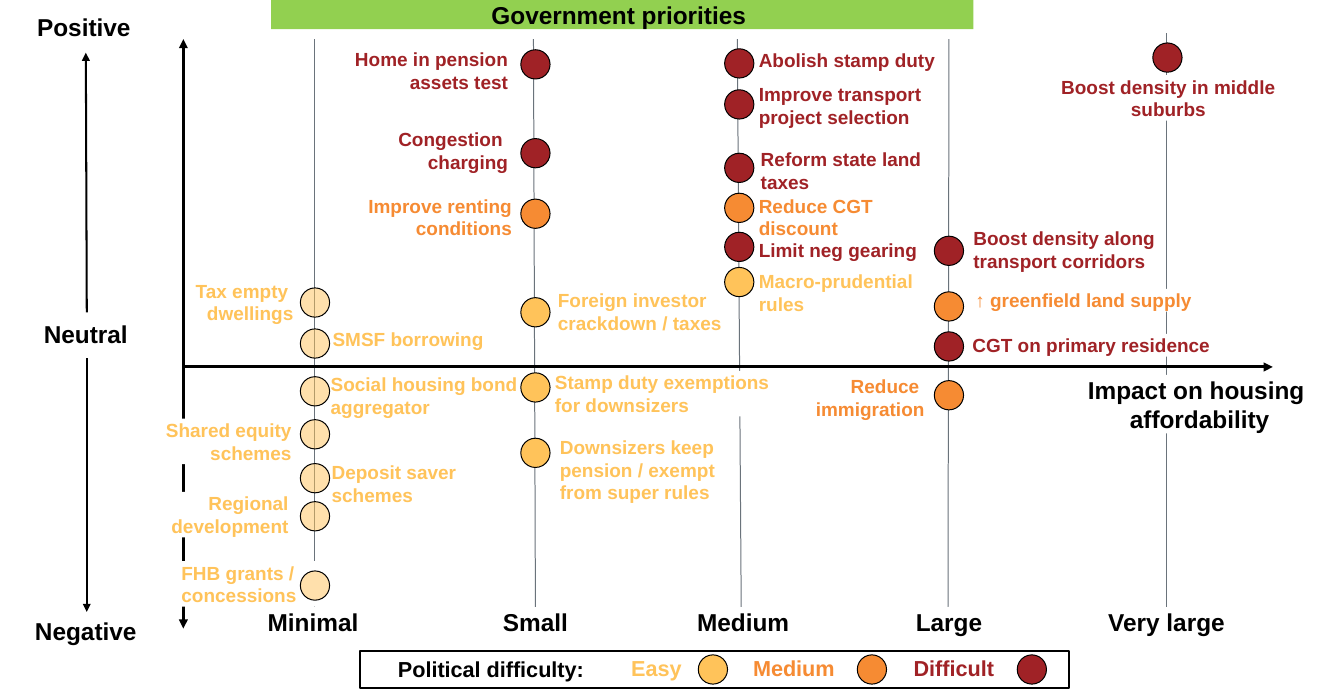
from collections import namedtuple

from lxml import etree
from pptx import Presentation
from pptx.dml.color import RGBColor
from pptx.enum.shapes import MSO_CONNECTOR as Connector, MSO_SHAPE as Shape
from pptx.enum.text import MSO_ANCHOR as Anchor, MSO_AUTO_SIZE as AutoSize, PP_ALIGN as Align
from pptx.oxml.ns import qn
from pptx.util import Inches, Pt

BLACK = RGBColor(0x00, 0x00, 0x00)
WHITE = RGBColor(0xFF, 0xFF, 0xFF)
GREY = RGBColor(0x6A, 0x73, 0x7B)
GREEN = RGBColor(0x92, 0xD0, 0x50)
YELLOW = RGBColor(0xFF, 0xC3, 0x5A)
ORANGE = RGBColor(0xF6, 0x8B, 0x33)
RED = RGBColor(0xA0, 0x22, 0x26)

FONT = "Arial"
DOT = 0.3
LEFT, CENTER, RIGHT = Align.LEFT, Align.CENTER, Align.RIGHT

# Impact columns: name, dot left, label left, line bottom (x, y), line top (x, y)
COLUMNS = [
    ("Minimal", 3.08, 1.94, (3.22, 6.31), (3.22, 0.4)),
    ("Small", 5.34, 4.22, (5.49, 6.27), (5.47, 0.4)),
    ("Medium", 7.43, 6.35, (7.6, 6.27), (7.56, 0.4)),
    ("Large", 9.58, 8.46, (9.72, 6.27), (9.73, 0.4)),
    ("Very large", 11.82, 10.69, (11.96, 6.22), (11.96, 0.34)),
]

# Each label has a white backing unless masked is False
Policy = namedtuple("Policy", "color dot_top text left top width align masked",
                    defaults=(LEFT, True))
POLICIES = {
    "Minimal": [
        Policy(YELLOW, 2.95, "Tax empty \ndwellings", 1.94, 2.86, 1.07, RIGHT),
        Policy(YELLOW, 3.37, "SMSF borrowing", 3.41, 3.36, 2.38, LEFT, False),
        Policy(YELLOW, 3.86, "Social housing bond aggregator", 3.39, 3.82, 2.15, LEFT, False),
        Policy(YELLOW, 4.3, "Shared equity\nschemes", 1.59, 4.29, 1.4, RIGHT),
        Policy(YELLOW, 4.75, "Deposit saver schemes", 3.4, 4.72, 1.81),
        Policy(YELLOW, 5.14, "Regional\ndevelopment", 1.2, 5.04, 1.76, RIGHT),
        Policy(YELLOW, 5.85, "FHB grants / \nconcessions", 1.86, 5.75, 1.38),
    ],
    "Small": [
        Policy(RED, 0.51, "Home in pension assets test", 3.36, 0.49, 1.85, RIGHT),
        Policy(RED, 1.42, "Congestion \ncharging", 3.56, 1.31, 1.65, RIGHT),
        Policy(ORANGE, 2.04, "Improve renting\nconditions", 3.45, 1.99, 1.8, RIGHT),
        Policy(YELLOW, 3.05, "Foreign investor\ncrackdown / taxes", 5.72, 2.96, 1.78),
        Policy(YELLOW, 3.82, "Stamp duty exemptions for downsizers", 5.69, 3.8, 2.3),
        Policy(YELLOW, 4.49, "Downsizers keep pension / exempt from super rules",
               5.74, 4.46, 1.77),
    ],
    "Medium": [
        Policy(RED, 0.5, "Abolish stamp duty", 7.78, 0.5, 1.93),
        Policy(RED, 0.92, "Improve transport project selection", 7.78, 0.85, 1.77),
        Policy(RED, 1.57, "Reform state land taxes", 7.8, 1.51, 1.77),
        Policy(ORANGE, 1.98, "Reduce CGT discount", 7.78, 1.99, 1.79),
        Policy(RED, 2.38, "Limit neg gearing", 7.78, 2.44, 1.63, LEFT, False),
        Policy(YELLOW, 2.74, "Macro-prudential\nrules", 7.78, 2.76, 1.65, LEFT, False),
    ],
    "Large": [
        Policy(RED, 2.42, "Boost density along transport corridors", 9.98, 2.32, 1.97),
        Policy(ORANGE, 2.99, "↑ greenfield land supply", 10, 2.96, 3.63),
        Policy(RED, 3.4, "CGT on primary residence", 9.97, 3.42, 3.47),
        Policy(ORANGE, 3.9, "Reduce \nimmigration", 7.84, 3.84, 1.64, RIGHT, False),
    ],
    "Very large": [
        Policy(RED, 0.44, "Boost density in middle suburbs", 10.75, 0.77, 2.46, CENTER),
    ],
}

# Legend: difficulty, colour, text left, text width, dot left
LEGEND = [
    ("Easy", YELLOW, 6.31, 0.84, 7.16),
    ("Medium", ORANGE, 7.41, 1.46, 8.79),
    ("Difficult", RED, 9.14, 1.28, 10.43),
]


def add_line(page, start, end, color, width, head=False, tail=False):
    line = page.shapes.add_connector(Connector.STRAIGHT, *map(Inches, start + end))
    line.line.color.rgb = color
    line.line.width = Pt(width)
    outline = line.line._get_or_add_ln()
    for name, wanted in (("a:headEnd", head), ("a:tailEnd", tail)):
        if wanted:
            etree.SubElement(outline, qn(name), type="triangle")
    etree.SubElement(line._element.spPr, qn("a:effectLst"))


def add_box(page, kind, left, top, width, height, fill=None, border=None, weight=0.75):
    box = page.shapes.add_shape(kind, *map(Inches, (left, top, width, height)))
    box.shadow.inherit = False
    if fill is None:
        box.fill.background()
    else:
        box.fill.solid()
        box.fill.fore_color.rgb = fill
    if border is None:
        box.line.fill.background()
    else:
        box.line.color.rgb = border
        box.line.width = Pt(weight)
    return box


def add_dot(page, left, top, color, faded=False):
    dot = add_box(page, Shape.OVAL, left, top, DOT, DOT, color, BLACK)
    if faded:
        tint = dot._element.spPr.find(qn("a:solidFill"))[0]
        etree.SubElement(tint, qn("a:alpha"), val="50000")


def add_label(page, text, left, top, width, size=18, color=BLACK, align=CENTER, fill=None,
              rows=1):
    height = rows * size / 60
    if fill is None:
        box = page.shapes.add_textbox(*map(Inches, (left, top, width, height)))
    else:
        box = add_box(page, Shape.RECTANGLE, left, top, width, height, fill)
    frame = box.text_frame
    frame.word_wrap = True
    frame.auto_size = AutoSize.SHAPE_TO_FIT_TEXT
    frame.vertical_anchor = Anchor.TOP
    frame.margin_left = frame.margin_right = frame.margin_top = frame.margin_bottom = 0
    for index, line in enumerate(text.split("\n")):
        para = frame.add_paragraph() if index else frame.paragraphs[0]
        para.alignment = align
        span = para.add_run()
        span.text = line
        span.font.name = FONT
        span.font.size = Pt(size)
        span.font.bold = True
        span.font.color.rgb = color


def add_policy_label(page, policy):
    one_line = ("Abolish stamp duty", "SMSF borrowing", "Limit neg gearing",
                "↑ greenfield land supply", "CGT on primary residence")
    rows = 1 if policy.text in one_line else 3 if "exempt from" in policy.text else 2
    add_label(page, policy.text, policy.left, policy.top, policy.width, 14, policy.color,
              policy.align, WHITE if policy.masked else None, rows)


def add_legend(page):
    add_box(page, Shape.RECTANGLE, 3.69, 6.67, 7.27, 0.38, border=BLACK, weight=1.5)
    add_label(page, "Political difficulty:", 3.47, 6.72, 3.13, 16)
    for name, color, left, width, dot_left in LEGEND:
        add_label(page, name, left, 6.71, width, 16, color)
        add_dot(page, dot_left, 6.71, color)


def main():
    deck = Presentation()
    deck.slide_width, deck.slide_height = Inches(13.78), Inches(7.09)
    page = deck.slides.add_slide(deck.slide_layouts[6])

    # Column lines and axes
    for _, _, _, bottom, top in COLUMNS:
        add_line(page, bottom, top, GREY, 0.75)
    add_line(page, (1.88, 6.44), (1.88, 0.4), BLACK, 2.25, head=True, tail=True)
    add_line(page, (1.88, 3.76), (13.05, 3.76), BLACK, 2.25, tail=True)

    # Axis names
    for name, _, left, _, _ in COLUMNS:
        add_label(page, name, left, 6.22, 2.54, fill=WHITE)
    add_label(page, "Impact on housing \naffordability", 10.83, 3.84, 2.94, fill=WHITE, rows=2)

    # Scale on the left
    for name, left, top in (("Positive", 0.09, 0.12), ("Neutral", 0.11, 3.27),
                            ("Negative", 0.11, 6.31)):
        add_label(page, name, left, top, 1.54)
    add_line(page, (0.89, 3.2), (0.88, 0.54), BLACK, 1.5, tail=True)
    add_line(page, (0.89, 3.67), (0.89, 6.27), BLACK, 1.5, tail=True)

    # Policies: labels below, dots on top
    for policies in POLICIES.values():
        for policy in policies:
            add_policy_label(page, policy)
    for name, dot_left, _, _, _ in COLUMNS:
        for policy in POLICIES[name]:
            add_dot(page, dot_left, policy.dot_top, policy.color, faded=name == "Minimal")

    # Legend and heading
    add_legend(page)
    add_label(page, "Government priorities ", 2.78, 0, 7.2, fill=GREEN)

    deck.save("out.pptx")


main()
